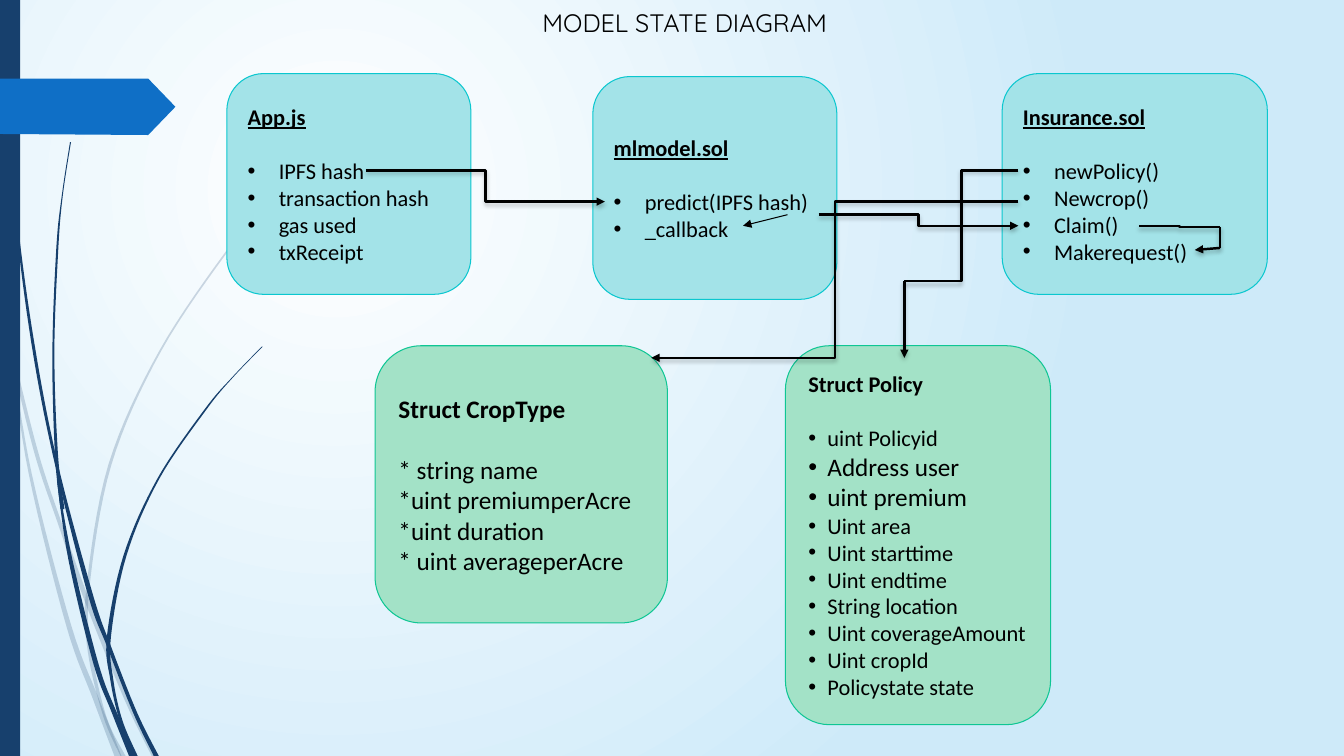
"""Build the model state diagram slide."""
from lxml import etree
from pptx import Presentation
from pptx.dml.color import RGBColor
from pptx.enum.shapes import MSO_CONNECTOR, MSO_SHAPE
from pptx.enum.text import MSO_ANCHOR, PP_ALIGN
from pptx.oxml.ns import qn
from pptx.util import Inches, Pt

ROUND, RECT = MSO_SHAPE.ROUNDED_RECTANGLE, MSO_SHAPE.RECTANGLE
BENT, LINE = MSO_CONNECTOR.ELBOW, MSO_CONNECTOR.STRAIGHT
LEFT, MIDDLE = PP_ALIGN.LEFT, MSO_ANCHOR.MIDDLE
NAVY, BLUE, BLACK = "17406D", "0F6FC6", "000000"
AQUA, MINT = ("A3E3E8", "0BC7CF"), ("A3E2C7", "0FC694")


def rgb(code):
    return RGBColor.from_string(code)


def add(parent, tag, **attrs):
    return etree.SubElement(parent, qn(tag), {k: str(v) for k, v in attrs.items()})


def smooth(knots, steps=8):
    ends = [knots[0], *knots, knots[-1]]
    points = []
    for a, b, c, d in zip(ends, ends[1:], ends[2:], ends[3:]):
        for i in range(steps):
            t = i / steps
            points.append([
                (2 * q + (r - p) * t + (2 * p - 5 * q + 4 * r - s) * t ** 2
                 + (3 * q - p - 3 * r + s) * t ** 3) / 2
                for p, q, r, s in zip(a, b, c, d)])
    return points + [knots[-1]]


class Board:
    """Holds the style and the current slide."""

    def __init__(self, slide, font="Calibri"):
        self.slide, self.font = slide, font
        self.shapes = slide.shapes

    def back(self, inner, outer):
        fill = self.slide.background.fill
        fill.gradient()
        for stop, code, at in zip(fill.gradient_stops, (inner, outer), (0, 1)):
            stop.color.rgb, stop.position = rgb(code), at
        lin = next(self.slide._element.iter(qn("a:lin")))
        grad = lin.getparent()
        grad.remove(lin)
        way = add(grad, "a:path", path="circle")
        add(way, "a:fillToRect", l=50000, t=50000, r=100000, b=100000)

    def paint(self, shape, fill, edge=None, alpha=None):
        shape.shadow.inherit = False
        shape.fill.solid()
        shape.fill.fore_color.rgb = rgb(fill)
        if alpha:
            color = next(shape._element.spPr.iter(qn("a:srgbClr")))
            add(color, "a:alpha", val=alpha * 1000)
        if edge:
            shape.line.color.rgb = rgb(edge)
            shape.line.width = Pt(0.75)
        else:
            shape.line.fill.background()

    def outline(self, points, fill, alpha=None):
        spots = [(Inches(x), Inches(y)) for x, y in points]
        build = self.shapes.build_freeform(*spots[0])
        build.add_line_segments(spots[1:], close=True)
        self.paint(build.convert_to_shape(), fill, alpha=alpha)

    def strand(self, knots, alpha=None):
        curve = smooth(knots)
        left = [(x - w / 2, y) for x, y, w in curve]
        right = [(x + w / 2, y) for x, y, w in reversed(curve)]
        self.outline(left + right, NAVY, alpha)

    def block(self, kind, box, fill, edge=None):
        shape = self.shapes.add_shape(kind, *map(Inches, box))
        self.paint(shape, fill, edge)
        return shape

    def words(self, para, text, size, bold=False, under=False, font=None):
        para.alignment = LEFT
        run = para.add_run()
        run.text = text
        face = run.font
        face.name, face.size = font or self.font, Pt(size)
        face.bold, face.underline = bold, under
        face.color.rgb = rgb(BLACK)

    def card(self, box, tones, head, items, size=16, under=False, indent=0):
        frame = self.block(ROUND, box, *tones).text_frame
        frame.word_wrap, frame.vertical_anchor = True, MIDDLE
        top = frame.paragraphs[0]
        self.words(top, head, size, True, under)
        top.space_after = Pt(size * 1.22)
        for item in items:
            text, scale = item if isinstance(item, tuple) else (item, size)
            para = frame.add_paragraph()
            self.words(para, text, scale)
            if indent:
                props = para._p.get_or_add_pPr()
                props.set("marL", str(Inches(indent)))
                props.set("indent", str(-Inches(indent)))
                add(props, "a:buFont", typeface="Arial")
                add(props, "a:buChar", char="•")

    def title(self, box, text):
        frame = self.shapes.add_textbox(*map(Inches, box)).text_frame
        frame.word_wrap = True
        frame.margin_left = Inches(1.1)
        self.words(frame.paragraphs[0], text, 18, font="Quicksand")

    def link(self, kind, start, end, head=True, width=1.75, shade=True):
        line = self.shapes.add_connector(kind, *map(Inches, start + end))
        line.line.color.rgb = rgb(BLACK)
        line.line.width = Pt(width)
        props = line._element.spPr
        if head:
            add(props.find(qn("a:ln")), "a:tailEnd", type="triangle")
        fx = add(props, "a:effectLst")
        if shade:
            cast = add(fx, "a:outerShdw", blurRad=Pt(3), dist=Pt(2),
                       dir=5400000, rotWithShape=0)
            color = add(cast, "a:srgbClr", val=BLACK)
            add(color, "a:alpha", val=25000)


PALE = [
    [(0.01, 2.9, 0.02), (0.12, 3.5, 0.03), (0.36, 4.49, 0.04), (0.6, 5.21, 0.04),
     (0.86, 5.95, 0.05), (1.25, 6.93, 0.04), (1.53, 7.5, 0.05)],
    [(0.11, 3.5, 0.01), (0.3, 4.7, 0.03), (0.68, 6.2, 0.05), (0.95, 6.93, 0.06),
     (1.17, 7.5, 0.07)],
    [(3.12, 1.53, 0.01), (2.68, 1.98, 0.01), (2.29, 2.44, 0.02), (1.59, 3.48, 0.02),
     (1.09, 4.61, 0.03), (0.87, 5.85, 0.03), (0.89, 6.46, 0.04), (1.04, 7.11, 0.03),
     (1.22, 7.5, 0.05)],
]
DARK = [
    [(0.04, 0, 0.01), (0.08, 1.1, 0.01), (0.18, 2.33, 0.02), (0.35, 3.55, 0.03),
     (0.57, 4.65, 0.03), (0.9, 5.91, 0.05), (1.08, 6.41, 0.04), (1.34, 7.07, 0.04),
     (1.55, 7.5, 0.05)],
    [(0.57, 4.77, 0.01), (0.7, 5.56, 0.04), (0.95, 6.58, 0.05), (1.13, 7.06, 0.05),
     (1.32, 7.5, 0.08)],
    [(0.7, 1.41, 0.01), (0.62, 1.93, 0.01), (0.57, 2.45, 0.02), (0.53, 3.49, 0.02),
     (0.56, 4.5, 0.03), (0.62, 5.05, 0.04)],
    [(2.6, 3.44, 0.01), (2.31, 3.74, 0.01), (2.04, 4.06, 0.02), (1.57, 4.75, 0.02),
     (1.24, 5.51, 0.03), (1.08, 6.32, 0.04), (1.11, 6.75, 0.03), (1.2, 7.15, 0.03),
     (1.34, 7.5, 0.05)],
]


def main():
    deck = Presentation()
    deck.slide_width, deck.slide_height = Inches(13.33), Inches(7.5)
    board = Board(deck.slides.add_slide(deck.slide_layouts[6]))
    board.back("FFFFFF", "CEEAF9")
    for knots in PALE:
        board.strand(knots, 20)
    for knots in DARK:
        board.strand(knots)
    board.block(RECT, (0, 0, 0.2, 7.5), NAVY)
    board.outline([(0, 0.78), (1.47, 0.78), (1.74, 1.06), (1.47, 1.34), (0, 1.33)], BLUE)

    board.card((2.25, 0.73, 2.42, 2.19), AQUA, "App.js",
               ["IPFS hash", "transaction hash", "gas used", "txReceipt"],
               under=True, indent=0.31)
    board.card((9.94, 0.73, 2.63, 2.19), AQUA, "Insurance.sol",
               ["newPolicy()", "Newcrop()", "Claim()", "Makerequest()"],
               under=True, indent=0.31)
    board.card((5.88, 0.76, 2.42, 2.21), AQUA, "mlmodel.sol",
               ["predict(IPFS hash)", "_callback"], under=True, indent=0.31)
    board.card((3.72, 3.43, 2.9, 2.75), MINT, "Struct CropType",
               ["* string name", "*uint premiumperAcre", "*uint duration",
                "* uint averageperAcre"], size=18)
    board.card((7.79, 3.43, 2.63, 3.76), MINT, "Struct Policy",
               ["uint Policyid", ("Address user", 18), ("uint premium", 18),
                "Uint area", "Uint starttime", "Uint endtime", "String location",
                "Uint coverageAmount", "Uint cropId", "Policystate state"], indent=0.19)
    board.title((4.28, 0.02, 5.37, 0.4), "MODEL STATE DIAGRAM")

    board.link(BENT, (3.63, 1.69), (6, 2))
    board.link(BENT, (10.1, 1.69), (8.97, 2.79), head=False)
    board.link(LINE, (8.97, 2.79), (8.97, 3.55))
    board.link(BENT, (10.1, 2), (6.46, 3.55))
    board.link(BENT, (11.3, 2.24), (12.1, 2.25), head=False)
    board.link(LINE, (12.1, 2.25), (12.1, 2.46), head=False)
    board.link(LINE, (12.1, 2.46), (11.85, 2.48))
    board.link(BENT, (8.12, 2.13), (10.1, 2.24))
    board.link(LINE, (7.81, 2.13), (7.37, 2.24), width=0.75, shade=False)
    deck.save("out.pptx")


if __name__ == "__main__":
    main()
